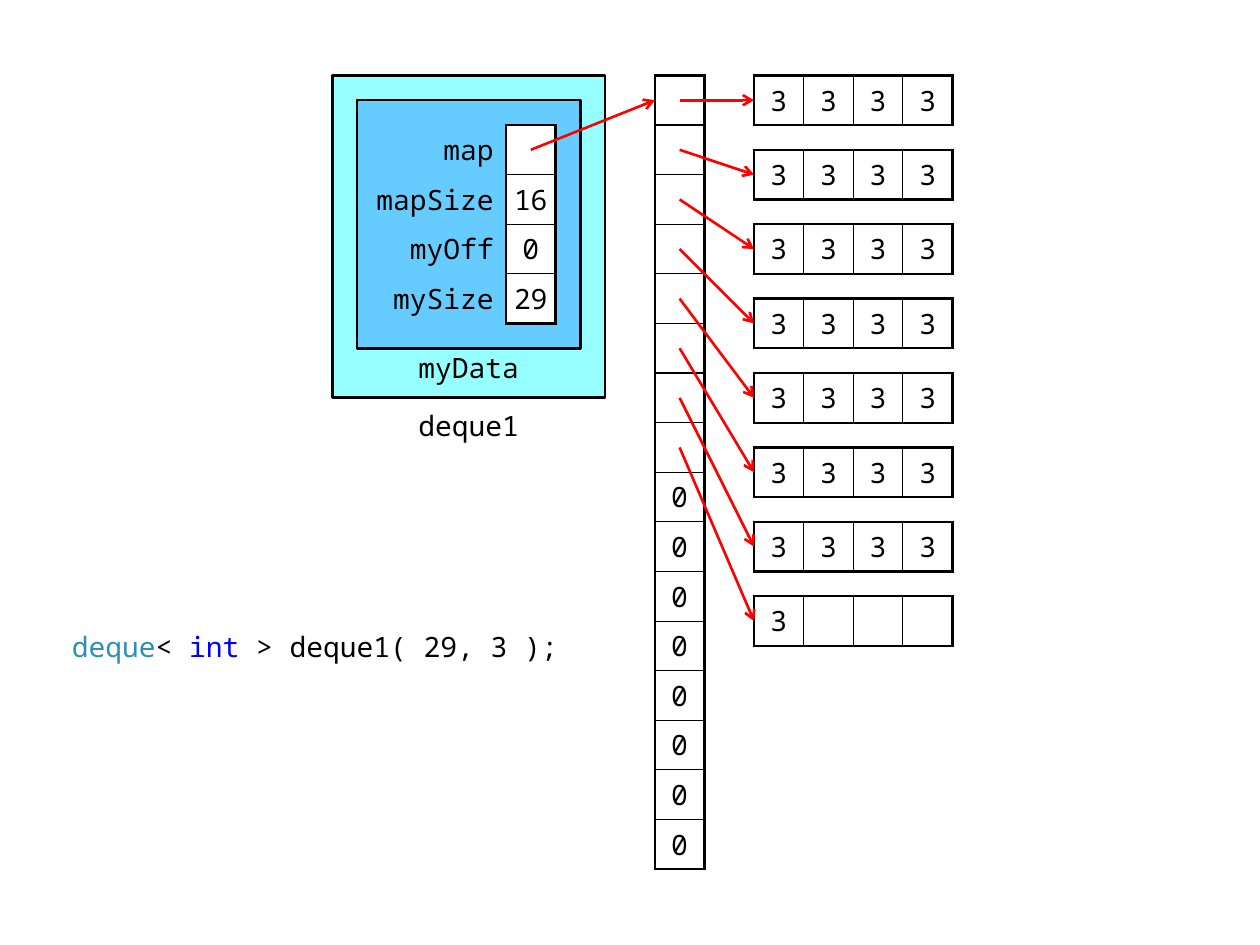
import lxml.etree
import pptx
import pptx.dml.color
import pptx.enum.shapes
import pptx.enum.text
import pptx.oxml.ns
import pptx.util

PX = 3600  # EMU in one px, a tenth of a millimetre
CELL = 100
TOP = 152
MAP_LEFT = 1320
BLOCK_LEFT = 1520
BLOCK_STEP = 150
MAP_SIZE, ELEMENTS, BLOCK_SIZE = 16, 29, 4
THICK, THIN = 1.5, 0.75
FONT = "Noto Sans Mono"
NO_STYLE = "{2D5ABB26-0587-4C30-8999-92F81FD0307C}"
COLORS = {
    "ink": "000000", "paper": "FFFFFF", "deque": "96FFFF", "data": "66CCFF",
    "pointer": "FF0000", "type": "2B91AF", "keyword": "0000FF",
}
ALIGN = pptx.enum.text.PP_ALIGN
ANCHOR = pptx.enum.text.MSO_ANCHOR


def px(*lengths):
    return [pptx.util.Emu(length * PX) for length in lengths]


def rgb(name):
    return pptx.dml.color.RGBColor.from_string(COLORS[name])


def set_format(target, values):
    for name, value in values.items():
        setattr(target, name, value)


def add_child(parent, tag, **attributes):
    return lxml.etree.SubElement(parent, pptx.oxml.ns.qn(tag), attributes)


def write(frame, spans, align):
    """Fill the first paragraph with (text, colour) spans."""
    para = frame.paragraphs[0]
    para.alignment = align
    for text, color in spans:
        span = para.add_run()
        span.text = text
        set_format(span.font, {"name": FONT, "size": pptx.util.Pt(16)})
        span.font.color.rgb = rgb(color)


def add_text(page, bounds, spans, margins, align=ALIGN.CENTER, anchor=ANCHOR.MIDDLE):
    """Add a text box; margins are left, top, right and bottom."""
    frame = page.shapes.add_textbox(*px(*bounds)).text_frame
    sides = ("margin_left", "margin_top", "margin_right", "margin_bottom")
    set_format(frame, dict(zip(sides, px(*margins))))
    set_format(frame, {"word_wrap": True, "vertical_anchor": anchor})
    write(frame, spans, align)


def add_box(page, bounds, color):
    kind = pptx.enum.shapes.MSO_SHAPE.FLOWCHART_PROCESS
    box = page.shapes.add_shape(kind, *px(*bounds))
    box.shadow.inherit = False
    box.fill.solid()
    box.fill.fore_color.rgb = rgb(color)
    box.line.color.rgb = rgb("ink")
    box.line.width = pptx.util.Pt(THICK)


def add_arrow(page, start, end):
    kind = pptx.enum.shapes.MSO_CONNECTOR.STRAIGHT
    arrow = page.shapes.add_connector(kind, *px(*start, *end))
    arrow.line.color.rgb = rgb("pointer")
    arrow.line.width = pptx.util.Pt(THICK)
    add_child(arrow.line._get_or_add_ln(), "a:tailEnd", type="arrow")
    add_child(arrow._element.spPr, "a:effectLst")


def add_border(cell, side, width):
    line = add_child(cell._tc.get_or_add_tcPr(), f"a:ln{side}",
                     w=str(pptx.util.Pt(width)))
    fill = add_child(line, "a:solidFill")
    add_child(fill, "a:srgbClr", val=COLORS["ink"])


def column(width=CELL, margin=10, align=ALIGN.CENTER, fill=None, boxed=True):
    return {"width": width, "margin": margin, "align": align,
            "fill": fill, "boxed": boxed}


def add_grid(page, left, top, columns, rows):
    """Add a table whose boxed columns share a thick frame and thin inner lines."""
    width = sum(style["width"] for style in columns)
    bounds = px(left, top, width, CELL * len(rows))
    table = page.shapes.add_table(len(rows), len(columns), *bounds).table
    set_format(table, {"first_row": False, "horz_banding": False})
    table._tbl.tblPr.find(pptx.oxml.ns.qn("a:tableStyleId")).text = NO_STYLE
    boxed = [c for c, style in enumerate(columns) if style["boxed"]]
    for r, texts in enumerate(rows):
        table.rows[r].height = px(CELL)[0]
        for c, (text, style) in enumerate(zip(texts, columns)):
            table.columns[c].width = px(style["width"])[0]
            cell = table.cell(r, c)
            side, edge = px(style["margin"], 10)
            set_format(cell, {
                "margin_left": side, "margin_right": side, "margin_top": edge,
                "margin_bottom": edge, "vertical_anchor": ANCHOR.MIDDLE,
            })
            if c in boxed:
                outer = {"L": c == boxed[0], "R": c == boxed[-1],
                         "T": r == 0, "B": r == len(rows) - 1}
                for name, is_outer in outer.items():
                    add_border(cell, name, THICK if is_outer else THIN)
            if style["fill"]:
                cell.fill.solid()
                cell.fill.fore_color.rgb = rgb(style["fill"])
            else:
                cell.fill.background()
            if text:
                write(cell.text_frame, [(text, "ink")], style["align"])


def add_deque(page):
    add_box(page, (670, TOP, 550, 650), "deque")
    add_box(page, (720, TOP + 50, 450, 500), "data")
    add_text(page, (770, TOP + 650, 350, CELL), [("deque1", "ink")], (20, 10, 20, 0))
    add_text(page, (820, TOP + 550, 250, CELL), [("myData", "ink")], (20, 5, 20, 0),
             anchor=ANCHOR.TOP)
    labels = column(width=300, margin=25, align=ALIGN.RIGHT, boxed=False)
    values = column(margin=0, fill="paper")
    members = [("map", ""), ("mapSize", str(MAP_SIZE)), ("myOff", "0"),
               ("mySize", str(ELEMENTS))]
    add_grid(page, 720, TOP + CELL, [labels, values], members)


def add_map_and_blocks(page):
    starts = range(0, ELEMENTS, BLOCK_SIZE)
    slots = [("" if i < len(starts) else "0",) for i in range(MAP_SIZE)]
    add_grid(page, MAP_LEFT, TOP, [column(margin=20)], slots)
    middle = TOP + CELL // 2
    for i, start in enumerate(starts):
        items = ["3" if start + k < ELEMENTS else "" for k in range(BLOCK_SIZE)]
        add_grid(page, BLOCK_LEFT, TOP + BLOCK_STEP * i, [column()] * BLOCK_SIZE, [items])
        add_arrow(page, (MAP_LEFT + CELL // 2, middle + CELL * i),
                  (BLOCK_LEFT, middle + BLOCK_STEP * i))
    add_arrow(page, (1070, middle + CELL), (MAP_LEFT, middle))


def main():
    deck = pptx.Presentation()
    deck.slide_width, deck.slide_height = px(2540, 1905)
    page = deck.slides.add_slide(deck.slide_layouts[6])
    code = [("deque", "type"), ("< ", "ink"), ("int", "keyword"),
            (" > deque1( 29, 3 );", "ink")]
    add_text(page, (120, 1252, 1050, CELL), code, (25, 10, 25, 10), ALIGN.LEFT)
    add_deque(page)
    add_map_and_blocks(page)
    deck.save("out.pptx")


if __name__ == "__main__":
    main()
